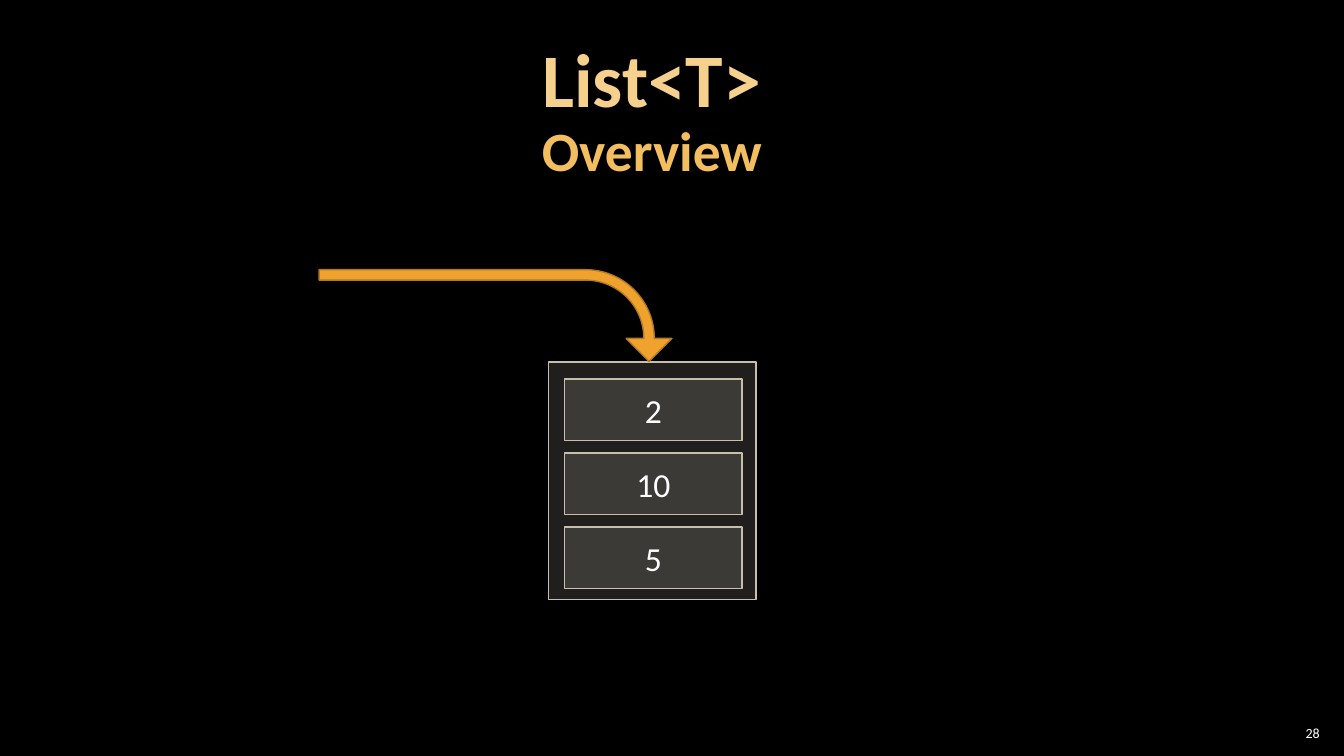
from pptx import Presentation
from pptx import util as u
from pptx.dml.color import RGBColor
from pptx.enum import shapes, text
from pptx.oxml.ns import qn
from lxml import etree

BLACK = RGBColor(0x00, 0x00, 0x00)
WHITE = RGBColor(0xFF, 0xFF, 0xFF)
PALE_GOLD = RGBColor(0xF6, 0xD1, 0x8E)
GOLD = RGBColor(0xF3, 0xBE, 0x60)
SAND = RGBColor(0xD9, 0xD5, 0xC7)
SAND_EDGE = RGBColor(0xC7, 0xBF, 0xAC)
ORANGE = RGBColor(0xF0, 0xA2, 0x2E)
ORANGE_EDGE = RGBColor(0xB2, 0x78, 0x22)


class SlideBuilder:
    font_name = "Calibri"

    def __init__(self, slide):
        self.slide = slide
        background = slide.background.fill
        background.solid()
        background.fore_color.rgb = BLACK

    def frame(self, shape, insets, anchor, size_rule=text.MSO_AUTO_SIZE.NONE):
        frame = shape.text_frame
        frame.word_wrap = True
        frame.auto_size = size_rule
        frame.vertical_anchor = anchor
        frame.margin_left = frame.margin_right = u.Inches(insets[0])
        frame.margin_top = frame.margin_bottom = u.Inches(insets[1])
        return frame

    def run(self, paragraph, words, size, color, bold=False):
        run = paragraph.add_run()
        run.text = words
        run.font.name = self.font_name
        run.font.size = u.Pt(size)
        run.font.bold = bold
        run.font.color.rgb = color

    def title(self, left, top, width, height, lines):
        title = self.slide.shapes.title
        title.left, title.top = u.Inches(left), u.Inches(top)
        title.width, title.height = u.Inches(width), u.Inches(height)
        frame = self.frame(title, (0.12, 0.04), text.MSO_ANCHOR.TOP)
        paragraph = frame.paragraphs[0]
        paragraph.alignment = text.PP_ALIGN.CENTER
        paragraph.line_spacing = 0.9
        for index, (words, size, color) in enumerate(lines):
            if index:
                paragraph.add_line_break()
            self.run(paragraph, words, size, color, bold=True)

    def shape(self, kind, left, top, width, height, fill, edge, opacity=100):
        shape = self.slide.shapes.add_shape(
            kind, u.Inches(left), u.Inches(top), u.Inches(width), u.Inches(height))
        shape.shadow.inherit = False
        shape.fill.solid()
        shape.fill.fore_color.rgb = fill
        shape.line.color.rgb = edge
        shape.line.width = u.Pt(1)
        if opacity < 100:
            color = shape.fill._xPr.find(qn("a:solidFill"))[0]
            etree.SubElement(color, qn("a:alpha"), val=str(opacity * 1000))
        return shape

    def box(self, left, top, width, height, words=None):
        box = self.shape(shapes.MSO_SHAPE.RECTANGLE, left, top, width, height,
                         SAND, SAND_EDGE, opacity=15)
        if words:
            frame = self.frame(box, (0.2, 0.1), text.MSO_ANCHOR.MIDDLE,
                               text.MSO_AUTO_SIZE.SHAPE_TO_FIT_TEXT)
            paragraph = frame.paragraphs[0]
            paragraph.alignment = text.PP_ALIGN.CENTER
            self.run(paragraph, words, 24, WHITE)

    def bent_arrow(self, left, top, width, height, rotation, adjustments):
        arrow = self.shape(shapes.MSO_SHAPE.BENT_ARROW, left, top, width, height,
                           ORANGE, ORANGE_EDGE)
        arrow.rotation = rotation
        for index, value in enumerate(adjustments):
            arrow.adjustments[index] = value

    def page_number(self, left, top, width, height, number):
        label = self.slide.shapes.add_textbox(
            u.Inches(left), u.Inches(top), u.Inches(width), u.Inches(height))
        frame = self.frame(label, (0.04, 0.04), text.MSO_ANCHOR.MIDDLE)
        paragraph = frame.paragraphs[0]
        paragraph.alignment = text.PP_ALIGN.RIGHT
        self.run(paragraph, number, 10, WHITE)


def main():
    deck = Presentation()
    deck.slide_width, deck.slide_height = u.Inches(13.33), u.Inches(7.5)
    builder = SlideBuilder(deck.slides.add_slide(deck.slide_layouts[5]))

    # Page number and heading
    builder.page_number(12.66, 7.17, 0.47, 0.21, "28")
    builder.title(0.1, 0.38, 12.73, 2.08,
                  [("List<T>", 54, PALE_GOLD), ("Overview", 39.6, GOLD)])

    # List container with its items
    builder.box(5.44, 3.59, 2.06, 2.36)
    item_top, item_pitch = 3.76, 0.735
    for row, item in enumerate(["2", "10", "5"]):
        builder.box(5.6, item_top + row * item_pitch, 1.76, 0.61, item)

    # Arrow into the list
    builder.bent_arrow(4.46, 1.38, 0.91, 3.5, 90, [0.114, 0.25, 0.25, 0.75])

    deck.save("out.pptx")


if __name__ == "__main__":
    main()
